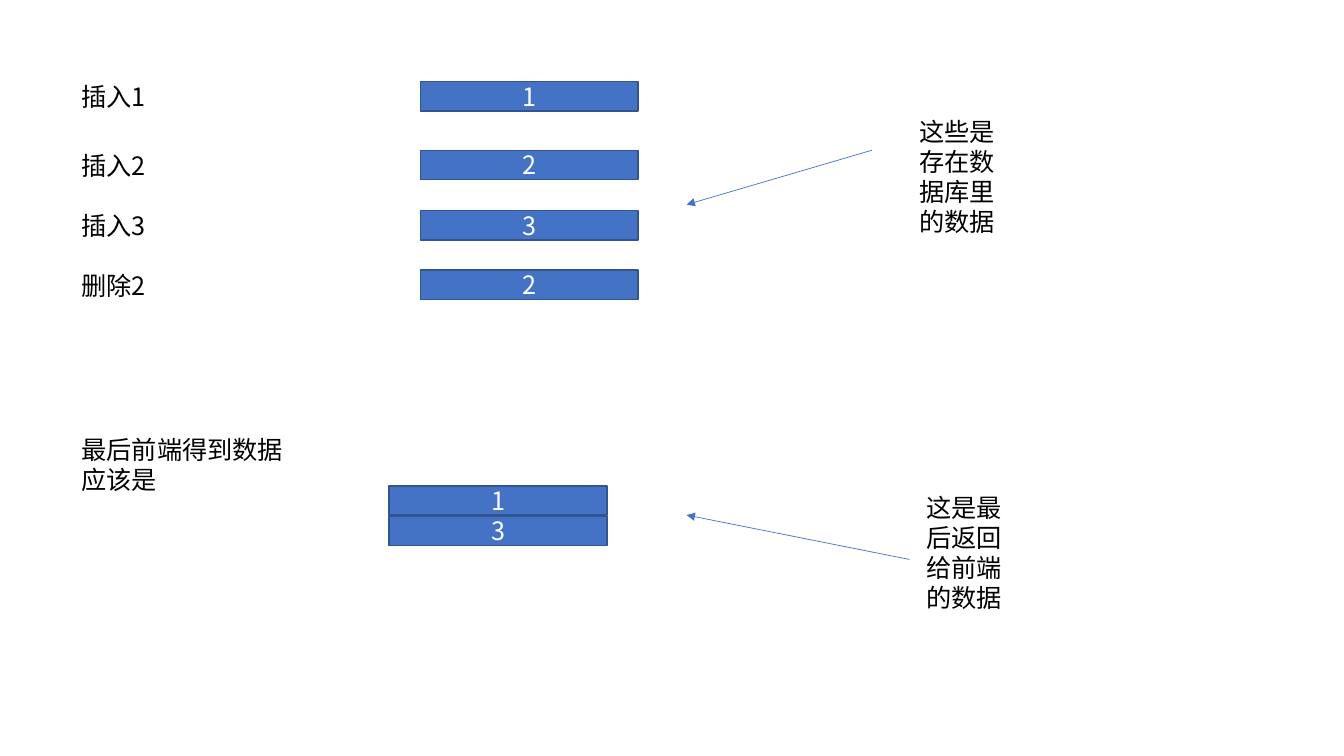
import pptx
import pptx.dml.color
import pptx.enum.shapes
import pptx.enum.text
import pptx.oxml.ns
import pptx.util
from lxml import etree

Inches = pptx.util.Inches
FONT = "Noto Sans CJK SC"
COLORS = {name: pptx.dml.color.RGBColor.from_string(value) for name, value in {
    "bar": "4472C4", "border": "325491", "label": "000000", "number": "FFFFFF"}.items()}


def write_text(shape, text, color):
    """Put one formatted paragraph into a shape and return the paragraph."""
    shape.text_frame.word_wrap = True
    paragraph = shape.text_frame.paragraphs[0]
    run = paragraph.add_run()
    run.text = text
    for name, value in {"size": pptx.util.Pt(18), "name": FONT}.items():
        setattr(run.font, name, value)
    run.font.color.rgb = COLORS[color]
    east_asian = etree.SubElement(run.font._element, pptx.oxml.ns.qn("a:ea"))
    east_asian.set("typeface", FONT)
    return paragraph


presentation = pptx.Presentation()
presentation.slide_width = Inches(13.33)
presentation.slide_height = Inches(7.5)
slide = presentation.slides.add_slide(presentation.slide_layouts[6])

# Database operations: each label sits beside its stored record
operations = [("插入1 ", "1", 0.81), ("插入2", "2", 1.49),
              ("插入3", "3", 2.09), ("删除2", "2", 2.68)]
labels = [(text, 0.71, top - 0.05, 1.9, 0.4) for text, number, top in operations]
labels += [("最后前端得到数据应该是", 0.71, 4.26, 2.22, 0.71),
           ("这些是存在数据库里的数据", 9.02, 1.1, 1.1, 1.31),
           ("这是最后返回给前端的数据", 9.09, 4.83, 1.1, 1.31)]
for text, *box in labels:
    label = slide.shapes.add_textbox(*map(Inches, box))
    write_text(label, text, "label")
    label.text_frame.auto_size = pptx.enum.text.MSO_AUTO_SIZE.SHAPE_TO_FIT_TEXT

# Stored records, then the two records the front end receives
records = [(number, 4.17, top) for text, number, top in operations]
records += [("1", 3.86, 4.82), ("3", 3.86, 5.12)]
for number, left, top in records:
    bar = slide.shapes.add_shape(pptx.enum.shapes.MSO_SHAPE.RECTANGLE,
                                 *map(Inches, (left, top, 2.16, 0.29)))
    bar.shadow.inherit = False
    bar.fill.solid()
    bar.fill.fore_color.rgb = COLORS["bar"]
    bar.line.color.rgb = COLORS["border"]
    bar.line.width = pptx.util.Pt(1)
    bar.text_frame.vertical_anchor = pptx.enum.text.MSO_ANCHOR.MIDDLE
    write_text(bar, number, "number").alignment = pptx.enum.text.PP_ALIGN.CENTER

# Arrows from the remarks to the records
for ends in [(8.65, 1.49, 6.81, 2.03), (9.02, 5.55, 6.81, 5.11)]:
    arrow = slide.shapes.add_connector(pptx.enum.shapes.MSO_CONNECTOR.STRAIGHT,
                                       *map(Inches, ends))
    arrow.line.color.rgb = COLORS["bar"]
    arrow.line.width = pptx.util.Pt(0.5)
    head = etree.SubElement(arrow.line._get_or_add_ln(), pptx.oxml.ns.qn("a:tailEnd"))
    head.set("type", "triangle")
    etree.SubElement(arrow._element.spPr, pptx.oxml.ns.qn("a:effectLst"))

presentation.save("out.pptx")
